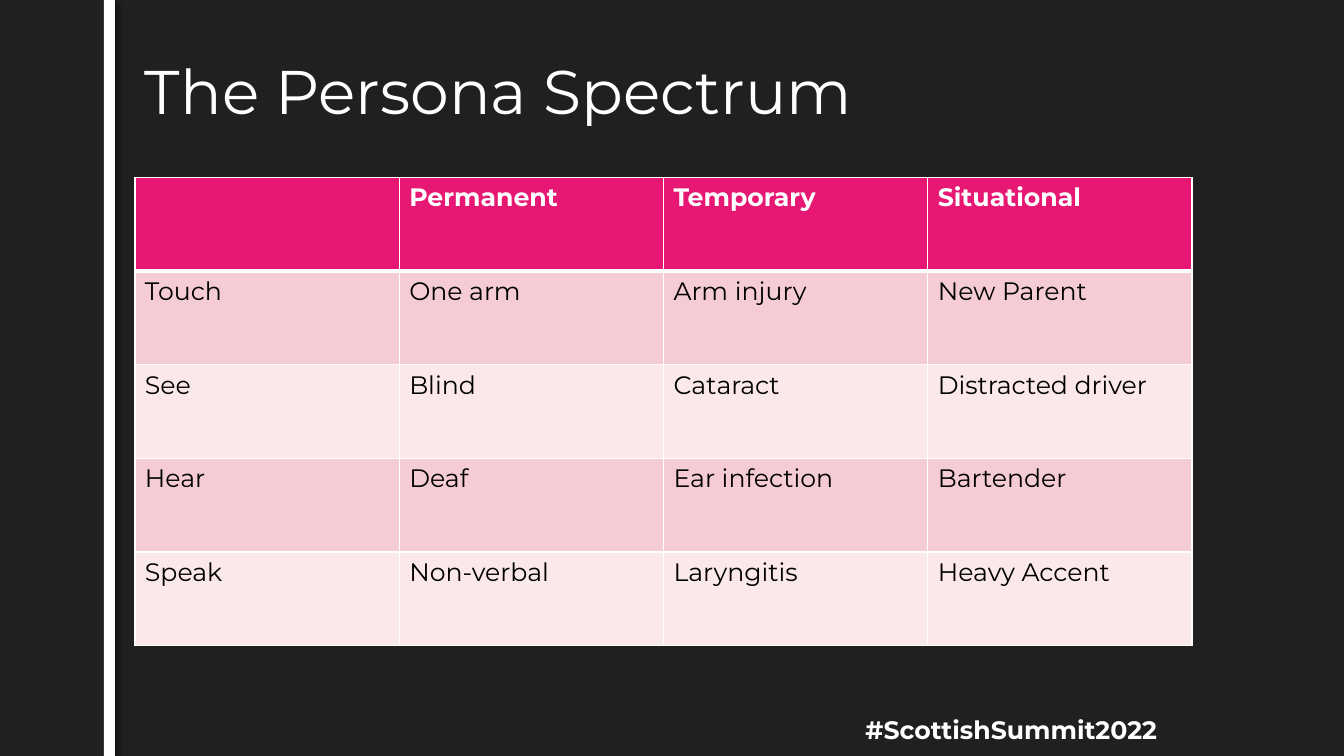
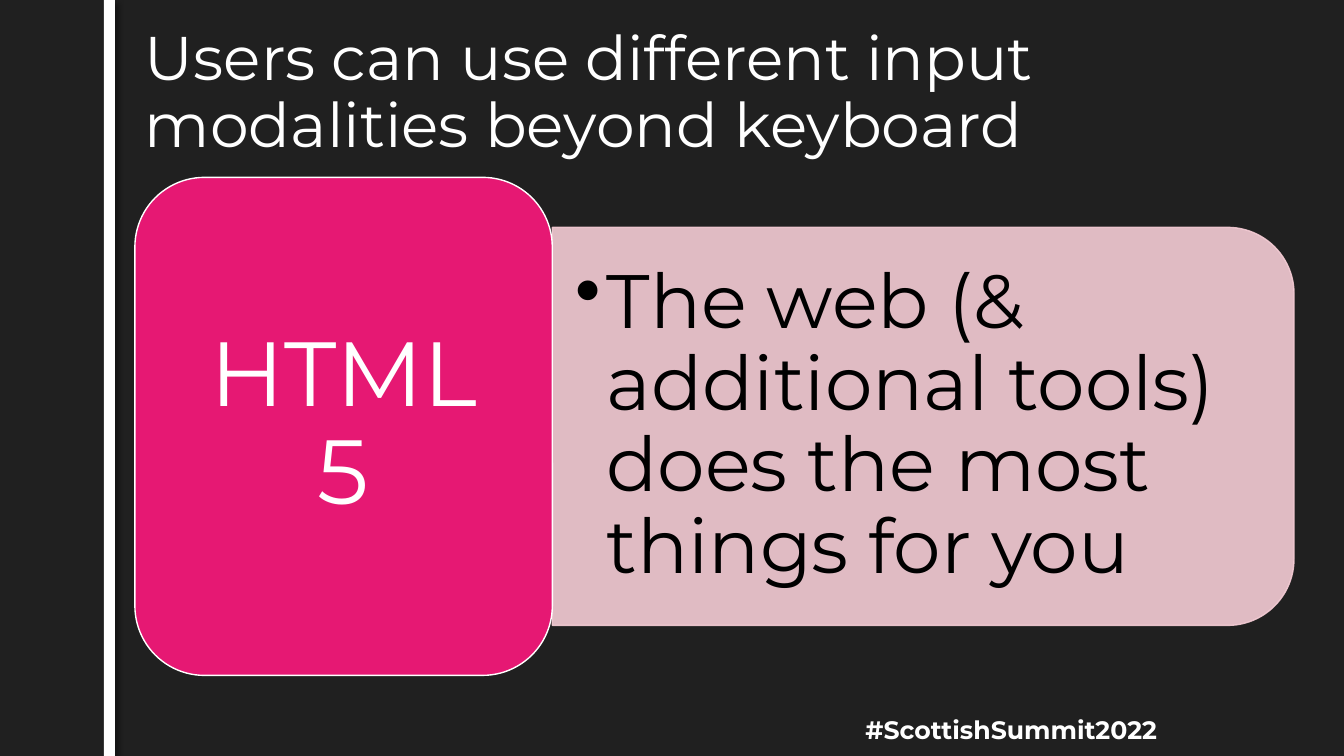
from lxml.etree import SubElement
from pptx import Presentation
from pptx.dml.color import RGBColor
from pptx.enum.shapes import MSO_SHAPE
from pptx.enum.text import MSO_ANCHOR, MSO_AUTO_SIZE, PP_ALIGN
from pptx.oxml.ns import qn
from pptx.util import Cm, Pt

# Shared style
FONT = "Montserrat"
BACKGROUND, WHITE, BLACK = "202020", "FFFFFF", "000000"
PINK, LIGHT_PINK, PALE_PINK = "E61873", "F5CCD5", "FAE8EB"
SLIDE_WIDTH, SLIDE_HEIGHT = 33.87, 19.05
CONTENT_LEFT, CONTENT_TOP = 3.4, 4.47

PERSONAS = [
    ["", "Permanent", "Temporary", "Situational"],
    ["Touch", "One arm", "Arm injury", "New Parent"],
    ["See", "Blind", "Cataract", "Distracted driver"],
    ["Hear", "Deaf", "Ear infection", "Bartender"],
    ["Speak", "Non-verbal", "Laryngitis", "Heavy Accent"],
]


def color(hex_value):
    return RGBColor.from_string(hex_value)


def box(left, top, width, height):
    return Cm(left), Cm(top), Cm(width), Cm(height)


def set_text(text_frame, text, size, hex_color, bold=False,
             align=PP_ALIGN.LEFT, spacing=1.0):
    text_frame.text = text
    paragraph = text_frame.paragraphs[0]
    paragraph.alignment = align
    paragraph.line_spacing = spacing
    for run in paragraph.runs:
        font = run.font
        font.name, font.size, font.bold = FONT, Pt(size), bold
        font.color.rgb = color(hex_color)


def set_alpha(fill_parent, percent):
    for color_element in fill_parent.iter(qn("a:srgbClr")):
        SubElement(color_element, qn("a:alpha"), val=str(percent * 1000))


def set_margins(text_frame, horizontal, vertical):
    text_frame.margin_left = text_frame.margin_right = Cm(horizontal)
    text_frame.margin_top = text_frame.margin_bottom = Cm(vertical)


def add_panel(slide, preset, bounds, fill, line=None):
    shape = slide.shapes.add_shape(preset, *box(*bounds))
    shape.shadow.inherit = False
    shape.fill.solid()
    shape.fill.fore_color.rgb = color(fill)
    if line:
        shape.line.color.rgb = color(line)
        shape.line.width = Pt(1)
    else:
        shape.line.fill.background()
    return shape


def add_text_box(slide, bounds):
    text_frame = slide.shapes.add_textbox(*box(*bounds)).text_frame
    text_frame.word_wrap = True
    return text_frame


# Parts that every slide carries
def add_side_bar(slide):
    bar = add_panel(slide, MSO_SHAPE.RECTANGLE, (2.62, 0, 0.28, SLIDE_HEIGHT), WHITE)
    effects = bar._element.spPr.find(qn("a:effectLst"))
    shadow = SubElement(effects, qn("a:outerShdw"), blurRad=str(Pt(4)),
                        dist=str(Pt(3)), dir="2700000", rotWithShape="0")
    SubElement(shadow, qn("a:srgbClr"), val=BLACK)
    set_alpha(shadow, 40)


def add_slide(presentation, title):
    slide = presentation.slides.add_slide(presentation.slide_layouts[5])
    add_side_bar(slide)
    hashtag = add_text_box(slide, (20.88, 17.88, 8.53, 1.02))
    set_text(hashtag, "#ScottishSummit2022", 18, WHITE, True, PP_ALIGN.RIGHT)
    text_frame = slide.shapes.title.text_frame
    text_frame.auto_size = MSO_AUTO_SIZE.NONE
    text_frame.vertical_anchor = MSO_ANCHOR.MIDDLE
    set_text(text_frame, title, 44, WHITE, spacing=0.9)
    return slide


# Table
def set_borders(cell, bottom_width):
    properties = cell._tc.get_or_add_tcPr()
    widths = {"a:lnL": 1, "a:lnR": 1, "a:lnT": 1, "a:lnB": bottom_width}
    for position, (tag, width) in enumerate(widths.items()):
        line = SubElement(properties, qn(tag), w=str(Pt(width)))
        SubElement(SubElement(line, qn("a:solidFill")), qn("a:srgbClr"), val=WHITE)
        properties.insert(position, line)


def add_table(slide, rows, column_width, row_height):
    bounds = (CONTENT_LEFT, CONTENT_TOP,
              column_width * len(rows[0]), row_height * len(rows))
    table = slide.shapes.add_table(len(rows), len(rows[0]), *box(*bounds)).table
    for column in table.columns:
        column.width = Cm(column_width)
    for row_index, values in enumerate(rows):
        table.rows[row_index].height = Cm(row_height)
        header = row_index == 0
        fill = PINK if header else (PALE_PINK, LIGHT_PINK)[row_index % 2]
        for column_index, value in enumerate(values):
            cell = table.cell(row_index, column_index)
            cell.fill.solid()
            cell.fill.fore_color.rgb = color(fill)
            set_borders(cell, 3 if header else 1)
            set_text(cell.text_frame, value, 18, WHITE if header else BLACK, header)


# Label block with a bulleted panel to its right
def add_bullet(paragraph, indent):
    properties = paragraph._p.get_or_add_pPr()
    properties.set("marL", str(Cm(indent)))
    properties.set("indent", str(-Cm(indent)))
    SubElement(properties, qn("a:buChar"), char="•")


def add_label_and_detail(slide, label, detail):
    label_width, label_height = 10.52, 12.55
    detail_width, detail_height = 18.69, 10.03
    detail_left = CONTENT_LEFT + label_width
    middle = CONTENT_TOP + label_height / 2

    # The panel is turned a quarter, so its width and height change places
    panel = add_panel(slide, MSO_SHAPE.ROUND_2_SAME_RECTANGLE,
                      (detail_left + (detail_width - detail_height) / 2,
                       middle - detail_width / 2, detail_height, detail_width),
                      LIGHT_PINK, LIGHT_PINK)
    panel.rotation = 90
    set_alpha(panel._element.spPr, 90)

    text_height = 9.07
    text_frame = add_text_box(slide, (detail_left, middle - text_height / 2,
                                      18.21, text_height))
    text_frame.vertical_anchor = MSO_ANCHOR.MIDDLE
    set_margins(text_frame, 0.58, 0.28)
    set_text(text_frame, detail, 54, BLACK, spacing=0.9)
    add_bullet(text_frame.paragraphs[0], 0.79)

    block = add_panel(slide, MSO_SHAPE.ROUNDED_RECTANGLE,
                      (CONTENT_LEFT, CONTENT_TOP, label_width, label_height),
                      PINK, WHITE)
    block.text_frame.word_wrap = True
    block.text_frame.vertical_anchor = MSO_ANCHOR.MIDDLE
    set_margins(block.text_frame, 0.7, 0.36)
    set_text(block.text_frame, label, 65, WHITE, align=PP_ALIGN.CENTER, spacing=0.9)


def main():
    presentation = Presentation()
    presentation.slide_width, presentation.slide_height = Cm(SLIDE_WIDTH), Cm(SLIDE_HEIGHT)
    background = presentation.slide_master.background.fill
    background.solid()
    background.fore_color.rgb = color(BACKGROUND)
    title = presentation.slide_layouts[5].placeholders[0]
    title.left, title.top, title.width, title.height = box(CONTENT_LEFT, 0.53, 29.21, 3.68)

    slide = add_slide(presentation, "The Persona Spectrum")
    add_table(slide, PERSONAS, 6.66, 2.36)

    slide = add_slide(presentation, "Users can use different input modalities beyond keyboard")
    add_label_and_detail(slide, "HTML 5",
                         "The web (& additional tools) does the most things for you")

    presentation.save("out.pptx")


if __name__ == "__main__":
    main()
